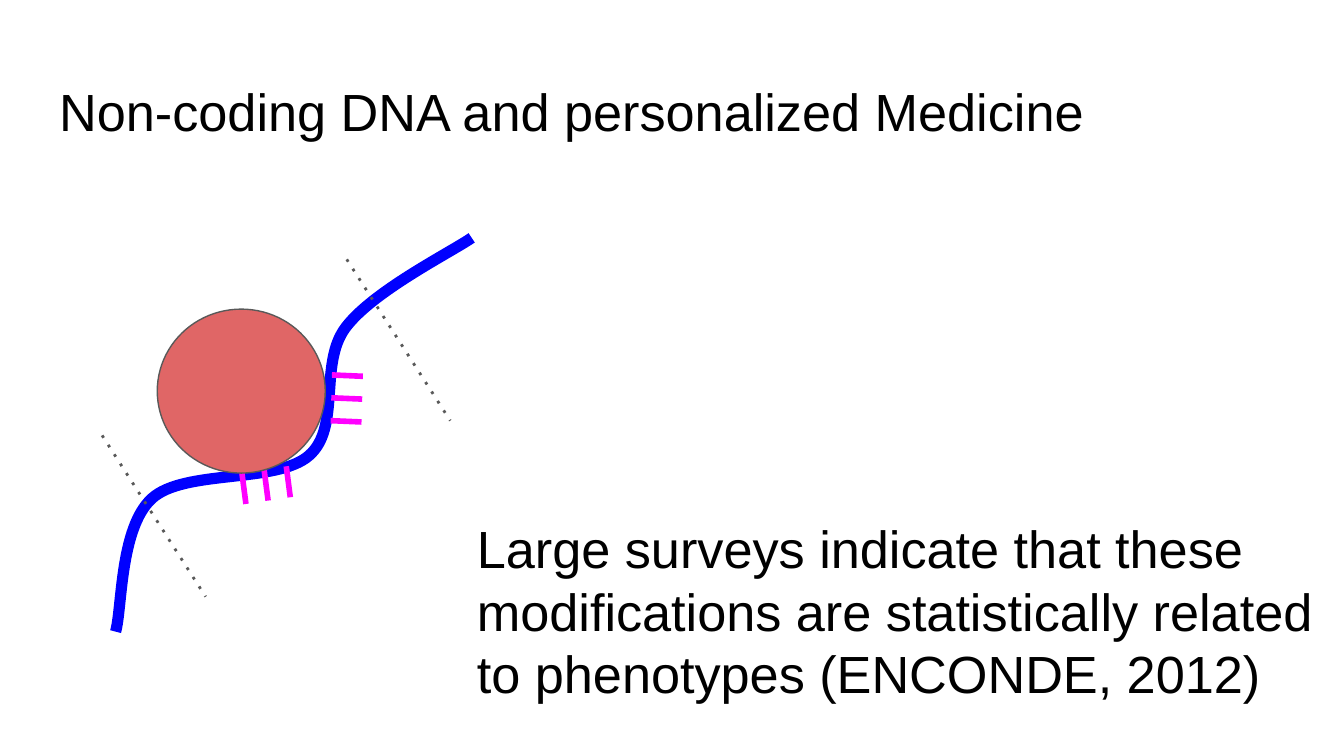
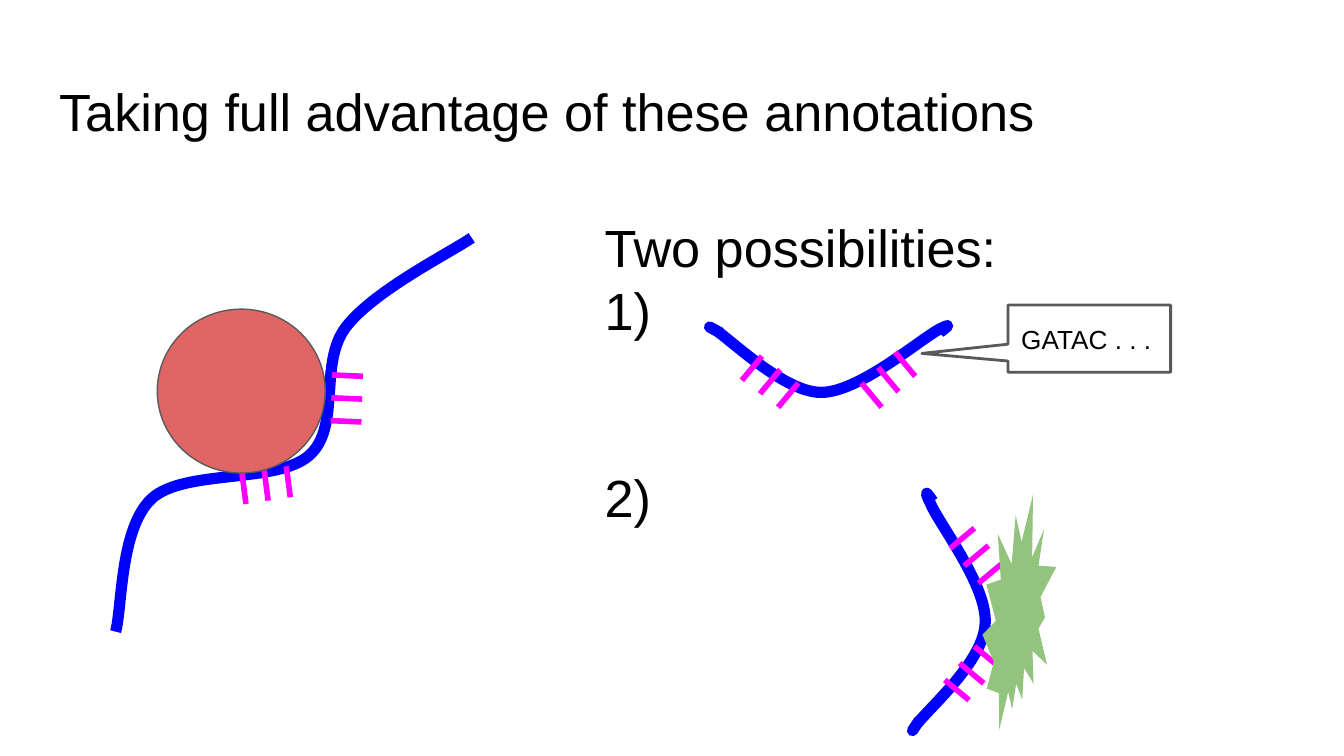
from pptx import Presentation
from pptx.dml.color import RGBColor
from pptx.enum.shapes import MSO_CONNECTOR, MSO_SHAPE
from pptx.enum.text import MSO_ANCHOR, MSO_AUTO_SIZE, PP_ALIGN
from pptx.oxml.ns import qn
from pptx.util import Inches, Pt
from lxml.etree import SubElement

FONT = "Arial"
TEXT_SIZE = 28
TICKS_PER_ROW = 3
COLORS = {
    "text": "000000",
    "paper": "FFFFFF",
    "dna": "0000FF",
    "mark": "FF00FF",
    "protein": "E06666",
    "factor": "93C47D",
    "outline": "595959",
}

# Each strand: start point, then three points for every Bezier segment.
BOUND_STRAND = [
    (0.86, 4.7), (0.91, 4.53), (0.89, 3.93), (1.13, 3.71),
    (1.37, 3.49), (2.06, 3.6), (2.3, 3.39),
    (2.54, 3.18), (2.37, 2.71), (2.57, 2.44),
    (2.77, 2.17), (3.35, 1.88), (3.51, 1.77),
]
SEQUENCE_STRAND = [
    (5.37, 2.48), (5.36, 2.48), (5.2, 2.39), (5.33, 2.46),
    (5.45, 2.54), (5.84, 2.92), (6.11, 2.92),
    (6.39, 2.92), (6.84, 2.53), (6.99, 2.45),
    (7.13, 2.38), (6.99, 2.47), (6.99, 2.48),
]
FACTOR_STRAND = [
    (6.84, 5.36), (6.84, 5.36), (6.74, 5.51), (6.82, 5.39),
    (6.91, 5.27), (7.32, 4.92), (7.33, 4.64),
    (7.35, 4.36), (6.98, 3.89), (6.92, 3.74),
    (6.85, 3.59), (6.94, 3.73), (6.94, 3.73),
]

# Each row of marks: first start, last start, offset from start to end.
BOUND_MARKS = [
    ((1.8, 3.52), (2.13, 3.47), (0.03, 0.23)),
    ((2.46, 3.13), (2.47, 2.79), (0.23, 0.01)),
]
SEQUENCE_MARKS = [
    ((5.67, 2.65), (5.94, 2.85), (-0.15, 0.18)),
    ((6.41, 2.85), (6.66, 2.62), (0.15, 0.18)),
]
FACTOR_MARKS = [
    ((7.03, 5.06), (7.25, 4.81), (0.18, 0.15)),
    ((7.28, 4.34), (7.07, 4.08), (0.18, -0.15)),
]


def color(name):
    return RGBColor.from_string(COLORS[name])


def write(frame, lines, size=TEXT_SIZE, anchor=MSO_ANCHOR.TOP):
    """Fill a text frame with (text, space before in points) lines."""
    frame.word_wrap = True
    frame.auto_size = MSO_AUTO_SIZE.NONE
    frame.vertical_anchor = anchor
    frame.margin_left = frame.margin_right = Inches(0.1)
    frame.margin_top = frame.margin_bottom = Inches(0.1)
    for index, (text, gap) in enumerate(lines):
        paragraph = frame.add_paragraph() if index else frame.paragraphs[0]
        paragraph.alignment = PP_ALIGN.LEFT
        paragraph.line_spacing = 1.0
        paragraph.space_before = Pt(gap)
        run = paragraph.add_run()
        run.text = text
        run.font.name = FONT
        run.font.size = Pt(size)
        run.font.color.rgb = color("text")


def add_titled_slide(prs, text):
    slide = prs.slides.add_slide(prs.slide_layouts[5])
    title = slide.shapes.title
    title.left, title.top = Inches(0.34), Inches(0.49)
    title.width, title.height = Inches(9.32), Inches(0.63)
    write(title.text_frame, [(text, 0)])
    return slide


def add_text(slide, box, lines):
    write(slide.shapes.add_textbox(*map(Inches, box)).text_frame, lines)


def add_line(shapes, start, end, color_name, width, dash=None):
    line = shapes.add_connector(
        MSO_CONNECTOR.STRAIGHT, *map(Inches, (*start, *end)))
    line.line.color.rgb = color(color_name)
    line.line.width = Pt(width)
    properties = line._element.spPr
    if dash:
        SubElement(properties.find(qn("a:ln")), qn("a:prstDash"), val=dash)
    SubElement(properties, qn("a:effectLst"))


def add_shape(shapes, kind, box, fill, line_width=0):
    shape = shapes.add_shape(kind, *map(Inches, box))
    shape.shadow.inherit = False
    shape.fill.solid()
    shape.fill.fore_color.rgb = color(fill)
    if line_width:
        shape.line.color.rgb = color("outline")
        shape.line.width = Pt(line_width)
    else:
        shape.line.fill.background()
    return shape


def add_strand(shapes, points):
    """Draw an open curve, turning every three line steps into one Bezier."""
    corners = [(Inches(x), Inches(y)) for x, y in points]
    builder = shapes.build_freeform(*corners[0])
    builder.add_line_segments(corners[1:], close=False)
    strand = builder.convert_to_shape()
    steps = list(strand._element.iter(qn("a:lnTo")))
    for i in range(0, len(steps), 3):
        outline = steps[i].getparent()
        curve = SubElement(outline, qn("a:cubicBezTo"))
        for step in steps[i:i + 3]:
            curve.append(step[0])
            outline.remove(step)
    strand.shadow.inherit = False
    strand.fill.background()
    strand.line.color.rgb = color("dna")
    strand.line.width = Pt(6)


def add_marked_strand(slide, strand, mark_rows):
    group = slide.shapes.add_group_shape().shapes
    add_strand(group, strand)
    for (x0, y0), (x1, y1), (dx, dy) in mark_rows:
        for i in range(TICKS_PER_ROW):
            share = i / (TICKS_PER_ROW - 1)
            x, y = x0 + (x1 - x0) * share, y0 + (y1 - y0) * share
            add_line(group, (x, y), (x + dx, y + dy), "mark", 3)
    return group


def add_bound_dna(slide):
    group = add_marked_strand(slide, BOUND_STRAND, BOUND_MARKS)
    add_shape(group, MSO_SHAPE.OVAL, (1.17, 2.3, 1.25, 1.22), "protein", 0.75)


def add_cut_lines(slide):
    group = slide.shapes.add_group_shape().shapes
    for x, y in [(0.76, 3.24), (2.58, 1.93)]:
        add_line(group, (x, y), (x + 0.77, y + 1.2), "outline", 1.5, "dot")


def add_sequence_callout(slide):
    callout = add_shape(slide.shapes, MSO_SHAPE.RECTANGULAR_CALLOUT,
                        (7.5, 2.27, 1.21, 0.5), "paper", 1.5)
    callout.adjustments[0] = -1.03
    callout.adjustments[1] = 0.22
    write(callout.text_frame, [("GATAC . . .", 0)], 14, MSO_ANCHOR.MIDDLE)


def build_medicine_slide(prs):
    slide = add_titled_slide(prs, "Non-coding DNA and personalized Medicine")
    add_bound_dna(slide)
    add_cut_lines(slide)
    add_text(slide, (3.45, 3.74, 6.55, 1.58), [
        ("Large surveys indicate that these modifications are statistically "
         "related to phenotypes (ENCONDE, 2012)", 0)])


def build_annotations_slide(prs):
    slide = add_titled_slide(prs, "Taking full advantage of these annotations")
    add_text(slide, (4.4, 1.5, 5.93, 0.63),
             [("Two possibilities:", 0), ("1)", 0), ("2)", 67)])
    add_sequence_callout(slide)
    add_marked_strand(slide, FACTOR_STRAND, FACTOR_MARKS)
    add_shape(slide.shapes, MSO_SHAPE.EXPLOSION2,
              (7.31, 3.68, 0.55, 1.75), "factor")
    add_marked_strand(slide, SEQUENCE_STRAND, SEQUENCE_MARKS)
    add_bound_dna(slide)


def main():
    prs = Presentation()
    prs.slide_width = Inches(10)
    prs.slide_height = prs.slide_width * 9 // 16
    build_medicine_slide(prs)
    build_annotations_slide(prs)
    prs.save("out.pptx")


if __name__ == "__main__":
    main()
